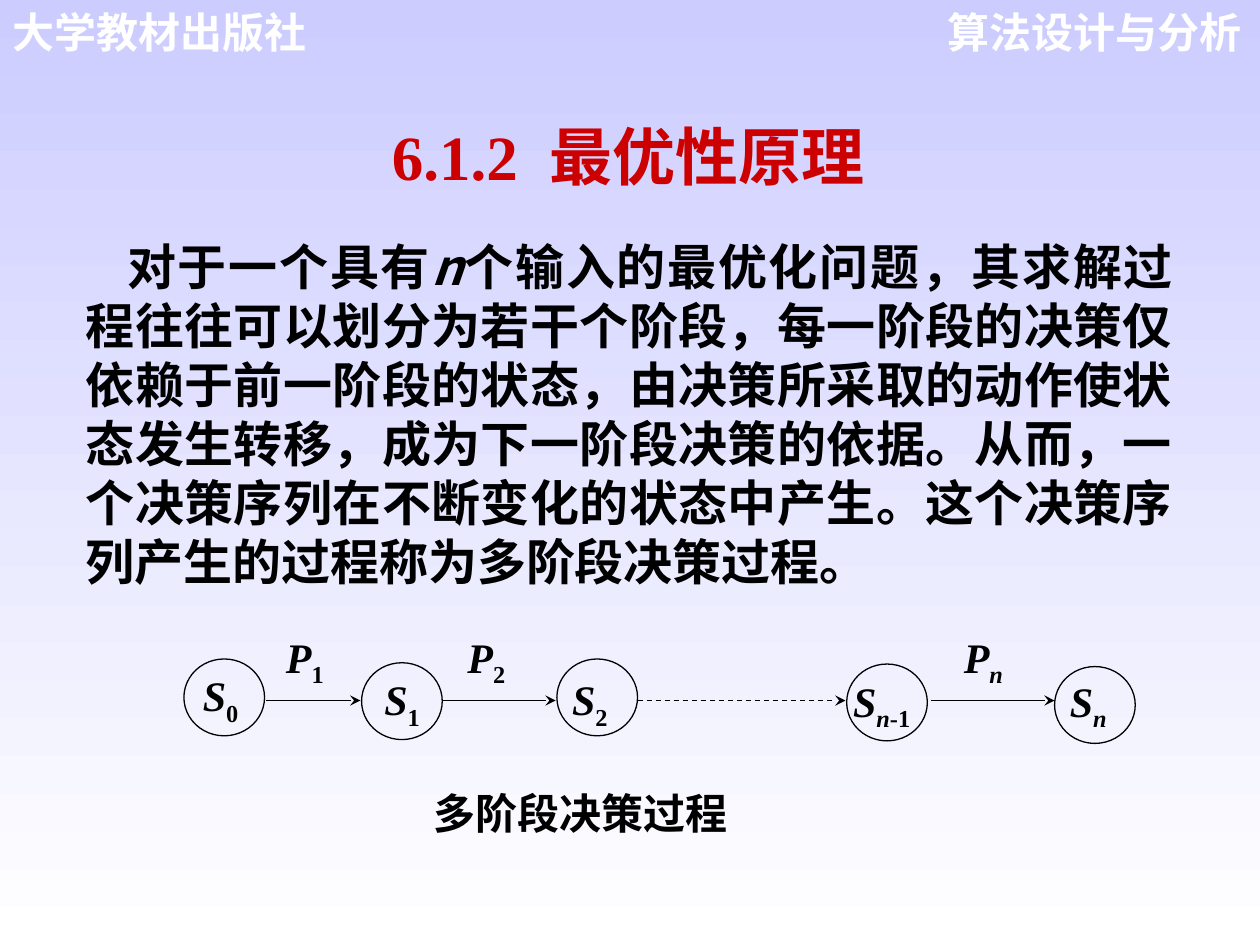
from lxml import etree
from pptx import Presentation
from pptx import util as u
from pptx.dml.color import RGBColor
from pptx.enum import dml, shapes, text
from pptx.oxml.ns import qn

COLOURS = {"sky": "CCCCFF", "white": "FFFFFF", "red": "CC0000", "ink": "000000"}
SANS, SERIF, CHINESE = "Arial", "Times New Roman", "Noto Sans CJK SC"
LEFT, CENTER, RIGHT = text.PP_ALIGN.LEFT, text.PP_ALIGN.CENTER, text.PP_ALIGN.RIGHT

deck = Presentation()
deck.slide_width, deck.slide_height = u.Inches(10), u.Inches(7.5)
column, row = deck.slide_width / 10, deck.slide_height / 7.5
page = deck.slides.add_slide(deck.slide_layouts[1])

fill = page.background.fill
fill.gradient()
fill.gradient_angle = 270
for stop, name in zip(fill.gradient_stops, ("sky", "white")):
    stop.color.rgb = RGBColor.from_string(COLOURS[name])


def grid(left, top, width, height):
    return [int(left * column), int(top * row), int(width * column), int(height * row)]


def write(box, place, runs, size, font, colour="ink", align=LEFT, spacing=1.0, margins=(0, 0)):
    box.left, box.top, box.width, box.height = grid(*place)
    frame = box.text_frame
    side, top = (u.Inches(value) for value in margins)
    layout = {"word_wrap": True, "auto_size": text.MSO_AUTO_SIZE.NONE,
              "vertical_anchor": text.MSO_ANCHOR.TOP, "margin_left": side,
              "margin_right": side, "margin_top": top, "margin_bottom": top}
    for key, value in layout.items():
        setattr(frame, key, value)
    para = frame.paragraphs[0]
    para.alignment, para.line_spacing, para.space_before = align, spacing, u.Pt(0)
    for words, changes in runs:
        span = para.add_run()
        span.text = words
        style = {"name": font, "size": u.Pt(size), "bold": True, "italic": False}
        for key, value in style.items():
            setattr(span.font, key, changes.get(key, value))
        span.font.color.rgb = RGBColor.from_string(COLOURS[colour])
        properties = span._r.get_or_add_rPr()
        for key in ("baseline", "spc"):
            if key in changes:
                properties.set(key, changes[key])
        east = etree.Element(qn("a:ea"), typeface=CHINESE)
        properties.find(qn("a:latin")).addnext(east)


for left, align, words in ((7.24, RIGHT, "算法设计与分析"), (0, LEFT, "大学教材出版社")):
    write(page.shapes.add_textbox(0, 0, 0, 0), (left, 0, 2.71, 0.5), [(words, {})],
          24, SANS, "white", align, margins=(0.1, 0.05))

write(page.shapes.title, (2.11, 0.88, 5.75, 0.7),
      [("6.1.2", {}), (" ", {"spc": "900"}), ("最优性原理", {"name": CHINESE})],
      36, SERIF, "red", CENTER, margins=(0.1, 0.05))

body = page.placeholders[1]
indent = body.text_frame.paragraphs[0]._p.get_or_add_pPr()
indent.set("marL", "0")
indent.set("indent", str(int(0.33 * column)))
etree.SubElement(indent, qn("a:buNone"))
write(body, (0.58, 1.83, 8.83, 2.9),
      [("对于一个具有", {}), ("n", {"italic": True}),
       ("个输入的最优化问题，其求解过程往往可以划分为若干个阶段，每一阶段的决策仅依赖于前一阶段的状态，"
        "由决策所采取的动作使状态发生转移，成为下一阶段决策的依据。从而，一个决策序列在不断变化的状态中产生。"
        "这个决策序列产生的过程称为多阶段决策过程。", {})],
      28, CHINESE, align=text.PP_ALIGN.JUSTIFY, margins=(0.1, 0.05))

variable, lowered = {"italic": True}, {"baseline": "-25000"}
index = {**variable, **lowered}
states = [
    (1.46, 5.23, 1.61, 5.36, [("0", lowered)]),
    (2.87, 5.26, 3.05, 5.39, [("1", lowered)]),
    (4.42, 5.23, 4.54, 5.39, [("2", lowered)]),
    (6.72, 5.27, 6.77, 5.4, [("n", index), ("-1", lowered)]),
    (8.37, 5.29, 8.49, 5.4, [("n", index)]),
]
for left, top, label_left, label_top, subscript in states:
    state = page.shapes.add_shape(shapes.MSO_SHAPE.OVAL, *grid(left, top, 0.64, 0.61))
    state.shadow.inherit = False
    state.fill.background()
    state.line.color.rgb = RGBColor.from_string(COLOURS["ink"])
    state.line.width = u.Pt(0.75)
    write(page.shapes.add_textbox(0, 0, 0, 0), (label_left, label_top, 0.55, 0.4),
          [("S", variable)] + subscript, 24, SERIF, spacing=0.8)

for left, subscript in ((2.27, ("1", lowered)), (3.71, ("2", lowered)), (7.65, ("n", index))):
    write(page.shapes.add_textbox(0, 0, 0, 0), (left, 5.01, 0.4, 0.49),
          [("P", variable), subscript], 24, SERIF)

for start, end, dashed in ((2.11, 2.86, False), (3.51, 4.41, False),
                           (5.06, 6.71, True), (7.39, 8.37, False)):
    arrow = page.shapes.add_connector(shapes.MSO_CONNECTOR.STRAIGHT, int(start * column),
                                      int(5.56 * row), int(end * column), int(5.56 * row))
    arrow.line.color.rgb = RGBColor.from_string(COLOURS["ink"])
    arrow.line.width = u.Pt(0.75)
    if dashed:
        arrow.line.dash_style = dml.MSO_LINE.DASH
    etree.SubElement(arrow.line._get_or_add_ln(), qn("a:tailEnd"), type="stealth")
    etree.SubElement(arrow._element.spPr, qn("a:effectLst"))

write(page.shapes.add_textbox(0, 0, 0, 0), (3.44, 6.25, 3.69, 0.49),
      [("多阶段决策过程", {})], 24, SERIF)

deck.save("out.pptx")
